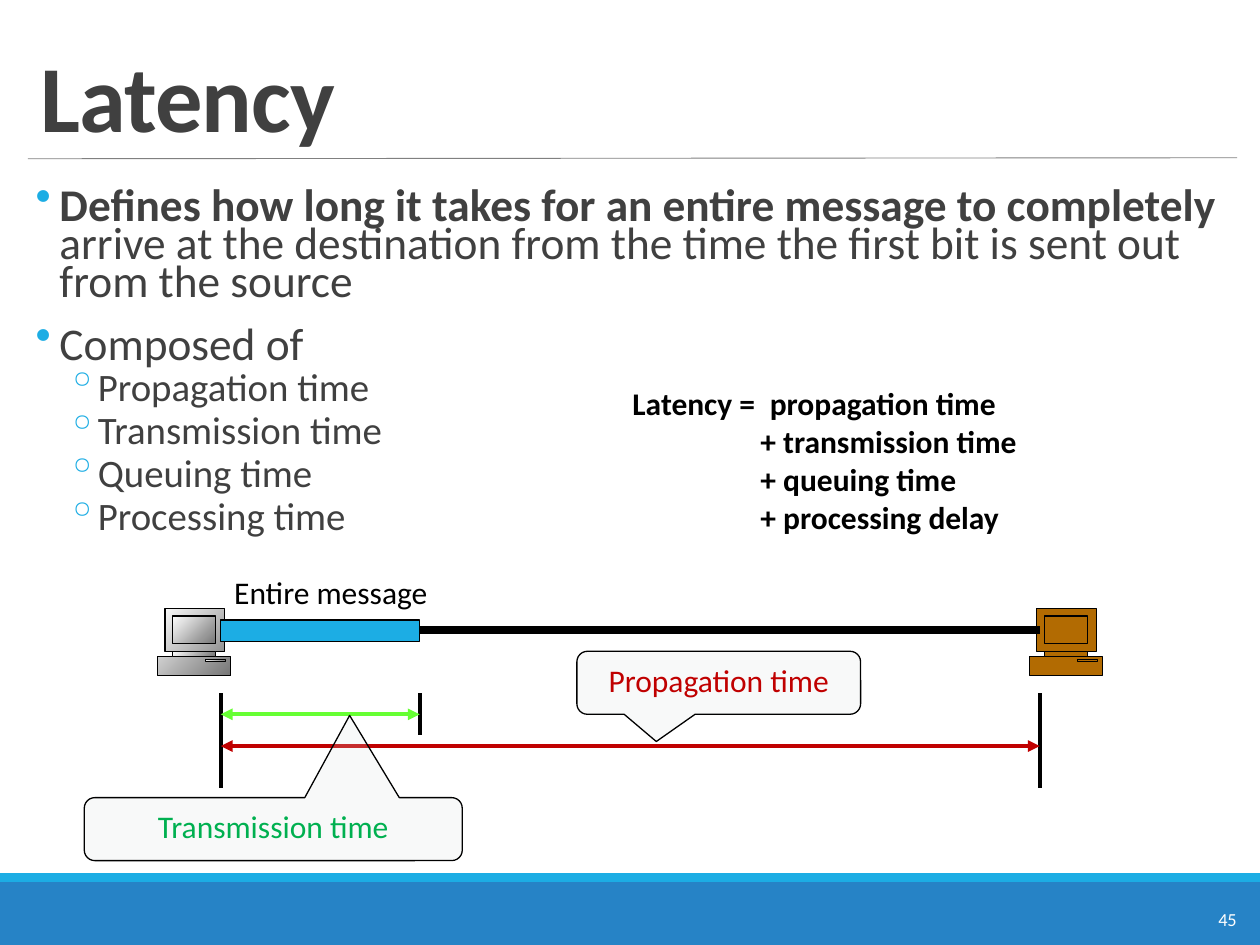
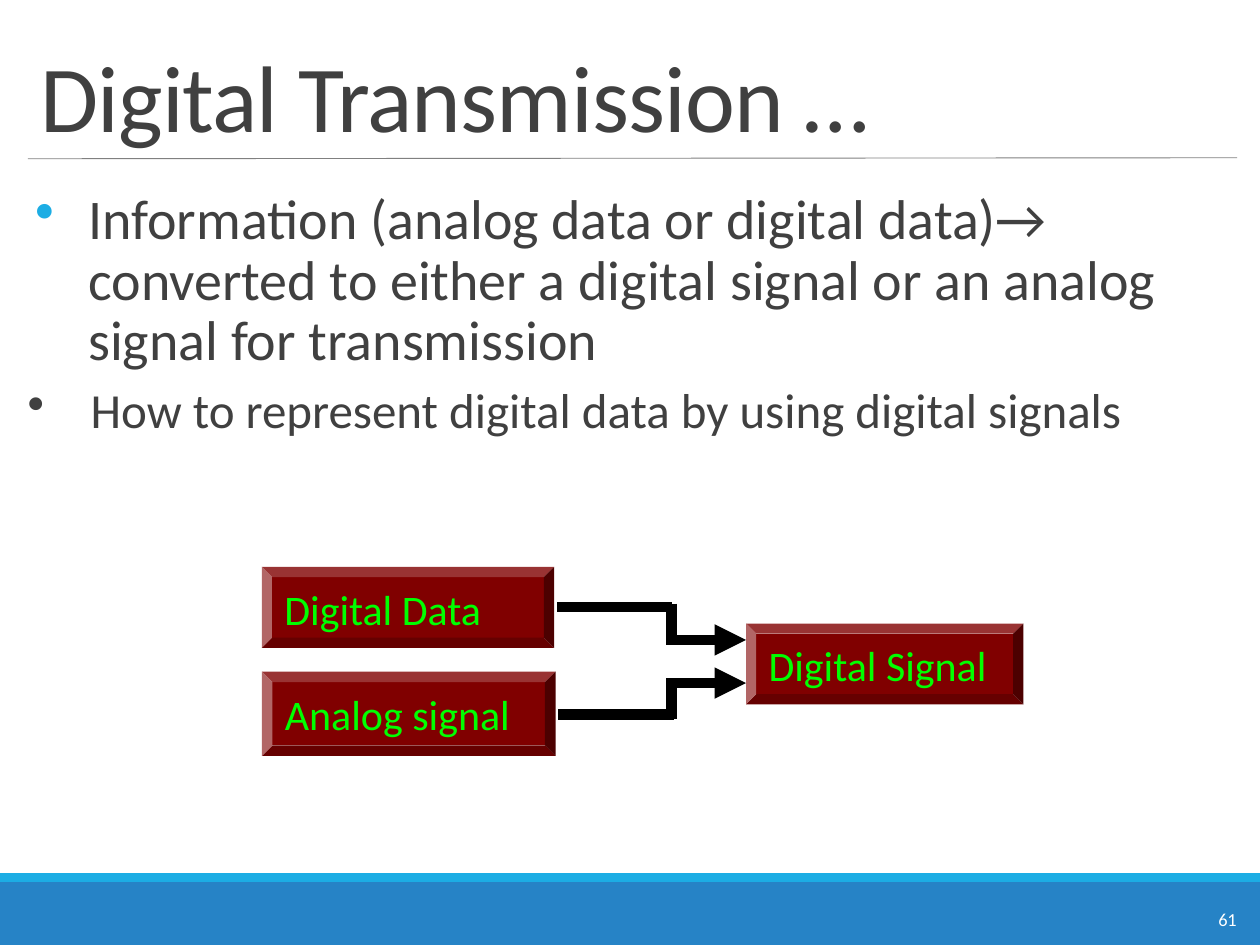
from lxml.etree import SubElement
from pptx import Presentation
from pptx.dml.color import RGBColor
from pptx.enum.shapes import MSO_CONNECTOR, MSO_SHAPE
from pptx.enum.text import MSO_ANCHOR, MSO_AUTO_SIZE, PP_ALIGN
from pptx.oxml.ns import qn
from pptx.util import Cm, Pt

FONT = "Calibri"
WHITE = RGBColor(0xFF, 0xFF, 0xFF)
BLACK = RGBColor(0x00, 0x00, 0x00)
TEXT_GRAY = RGBColor(0x40, 0x40, 0x40)
RULE_GRAY = RGBColor(0x80, 0x80, 0x80)
BAND_BLUE = RGBColor(0x26, 0x83, 0xC6)
ACCENT = RGBColor(0x1C, 0xAD, 0xE4)
STEEL = RGBColor(0x76, 0x76, 0x76)
BRONZE = RGBColor(0xB2, 0x6B, 0x02)
CALLOUT_GRAY = RGBColor(0xDF, 0xE3, 0xE5)
LIME = RGBColor(0x66, 0xFF, 0x33)
GREEN = RGBColor(0x00, 0xB0, 0x50)
RED = RGBColor(0xC0, 0x00, 0x00)
MAROON = RGBColor(0x80, 0x00, 0x00)
NEON = RGBColor(0x00, 0xFF, 0x00)

TOP_BULLET = dict(size=25.9, spacing=0.7, before=12, after=2, bullet="•", margin=0.64, hang=0.48)
SUB_BULLET = dict(size=22.2, spacing=0.7, before=2, after=4, bullet="◦", margin=1.3, hang=0.51)
LATENCY_POINTS = [
    ("arrive at the destination from the time the first bit is sent out from the source",
     dict(TOP_BULLET, lead="Defines how long it takes for an entire message to completely ")),
    ("Composed of", TOP_BULLET),
    ("Propagation time", SUB_BULLET),
    ("Transmission time", SUB_BULLET),
    ("Queuing time", SUB_BULLET),
    ("Processing time", SUB_BULLET),
]
EQUATION = [
    ("Latency =\tpropagation time", dict(margin=2.77, hang=2.77)),
    ("+ transmission time", dict(margin=2.58)),
    ("+ queuing time", dict(margin=2.58)),
    ("+ processing delay", dict(margin=2.58)),
]
DIGITAL_POINTS = [
    ("Information (analog data or digital data)→ converted to either a digital signal "
     "or an analog signal for transmission",
     dict(size=32, spacing=0.9, before=12, after=2, bullet="•", margin=1.22, hang=1.07)),
    ("How to represent digital data by using digital signals",
     dict(size=28, spacing=0.9, before=5.6, after=2, bullet="•", bullet_color=TEXT_GRAY,
          margin=1.27, hang=1.27)),
]

SENDER_X, MESSAGE_END_X, RECEIVER_X = 4.45, 8.46, 20.96
TRANSMISSION_Y, PROPAGATION_Y = 14.4, 15.04
COMPUTER_TOP = 12.27
COMPUTER_OUTLINE = [
    (1.17, 0.97), (1.17, 0.86), (1.35, 0.86), (1.35, 0), (0.15, 0), (0.15, 0.86),
    (0.3, 0.86), (0.3, 0.97), (0, 0.97), (0, 1.35), (1.47, 1.35), (1.47, 0.97),
]
COMPUTER_PARTS = [(0.3, 0.86, 0.87, 0.11), (0.3, 0.15, 0.87, 0.56), (0.97, 1.02, 0.4, 0.05)]
TIME_MARKS = [(MESSAGE_END_X, 14.81), (RECEIVER_X, 15.88), (SENDER_X, 15.88)]
TIME_SPANS = [(MESSAGE_END_X, TRANSMISSION_Y, LIME), (RECEIVER_X, PROPAGATION_Y, RED)]
CALLOUTS = [
    ("Transmission time", (1.7, 16.08, 7.62, 1.27), (0.202, -1.805, 0.167), GREEN),
    ("Propagation time", (11.63, 13.13, 5.72, 1.27), (-0.22, 0.933, 0.167), RED),
]
SIGNAL_BLOCKS = [
    ("Digital Data", (5.28, 11.43, 5.89, 1.63), True),
    ("Digital Signal", (15.04, 12.57, 5.59, 1.63), False),
    ("Analog signal", (5.28, 13.54, 5.92, 1.7), True),
]
SIGNAL_ARROWS = [((13.54, y), (15.04, y)) for y in (12.9, 13.77)]
SIGNAL_LINES = [
    ((13.54, 13.67), (13.54, 14.5)), ((13.59, 14.4), (11.25, 14.4)),
    ((13.54, 12.17), (13.54, 13)), ((13.54, 12.24), (11.23, 12.24)),
]


def cm(values):
    return [Cm(value) for value in values]


def write(frame, text, *, size=18, color=BLACK, bold=False, lead="", align=PP_ALIGN.LEFT,
          spacing=None, before=0, after=0, margin=0, hang=0, bullet="", bullet_color=ACCENT,
          tracking=None):
    para = frame.add_paragraph() if frame.text else frame.paragraphs[0]
    para.alignment = align
    para.line_spacing = spacing
    para.space_before, para.space_after = Pt(before), Pt(after)
    properties = para._p.get_or_add_pPr()
    properties.set("marL", str(Cm(margin)))
    properties.set("indent", str(-Cm(hang)))
    if bullet:
        tint = SubElement(properties, qn("a:buClr"))
        SubElement(tint, qn("a:srgbClr"), val=str(bullet_color))
        SubElement(properties, qn("a:buChar"), char=bullet)
    for words, heavy in ((lead, True), (text, bold)):
        if words:
            span = para.add_run()
            span.text = words
            span.font.name, span.font.size, span.font.bold = FONT, Pt(size), heavy
            span.font.color.rgb = color
            if tracking is not None:
                span._r.get_or_add_rPr().set("spc", str(tracking))


def add_text(page, place, lines, *, wrap=True, side_inset=0.25, **style):
    frame = page.shapes.add_textbox(*cm(place)).text_frame
    frame.word_wrap = wrap
    frame.margin_left = frame.margin_right = Cm(side_inset)
    for text, extra in lines:
        write(frame, text, **{**style, **extra})


def paint(shape, fill, outline=None):
    shape.shadow.inherit = False
    if fill == STEEL:
        shape.fill.gradient()
        shape.fill.gradient_angle = 315
        for stop, color in zip(shape.fill.gradient_stops, (WHITE, STEEL)):
            stop.color.rgb = color
    else:
        shape.fill.solid()
        shape.fill.fore_color.rgb = fill
    if outline is None:
        shape.line.fill.background()
    else:
        shape.line.color.rgb = outline
        shape.line.width = Pt(0.75)


def add_block(page, kind, place, fill, outline=None):
    shape = page.shapes.add_shape(kind, *cm(place))
    paint(shape, fill, outline)
    shape.text_frame.vertical_anchor = MSO_ANCHOR.TOP
    return shape


def add_line(page, start, end, color, width, arrows=()):
    line = page.shapes.add_connector(MSO_CONNECTOR.STRAIGHT, *cm(start + end))
    line.line.color.rgb = color
    line.line.width = Pt(width)
    properties = line._element.spPr
    for arrow in arrows:
        SubElement(properties.find(qn("a:ln")), qn("a:" + arrow), type="triangle")
    SubElement(properties, qn("a:effectLst"))


def add_computer(page, left, fill):
    corners = [cm((left + x, COMPUTER_TOP + y)) for x, y in COMPUTER_OUTLINE]
    builder = page.shapes.build_freeform(*corners[0], scale=1.0)
    builder.add_line_segments(corners[1:], close=True)
    paint(builder.convert_to_shape(), fill, BLACK)
    for x, y, width, height in COMPUTER_PARTS:
        place = (left + x, COMPUTER_TOP + y, width, height)
        add_block(page, MSO_SHAPE.RECTANGLE, place, fill, BLACK)


def add_page(deck, title, number, bold=False):
    page = deck.slides.add_slide(deck.slide_layouts[5])
    add_block(page, MSO_SHAPE.RECTANGLE, (0, 17.78, 25.4, 1.27), BAND_BLUE)
    add_block(page, MSO_SHAPE.RECTANGLE, (0, 17.6, 25.4, 0.18), ACCENT)
    add_line(page, (0.56, 3.2), (24.94, 3.18), RULE_GRAY, 0.5)
    add_text(page, (24.31, 18.19, 0.94, 0.71), [(number, {})], wrap=False, size=10.5, color=WHITE)
    heading = page.shapes.title
    heading.left, heading.top, heading.width, heading.height = cm((0.56, 0.64, 24.38, 2.54))
    frame = heading.text_frame
    frame.auto_size = MSO_AUTO_SIZE.NONE
    frame.vertical_anchor = MSO_ANCHOR.BOTTOM
    write(frame, title, size=54, color=TEXT_GRAY, bold=bold, spacing=0.85, tracking=-50)
    return page


def build_latency(deck):
    page = add_page(deck, "Latency", "45", bold=True)
    add_text(page, (0.56, 3.73, 24.38, 7.7), LATENCY_POINTS, side_inset=0, color=TEXT_GRAY)
    add_computer(page, 3.18, STEEL)
    add_computer(page, 20.75, BRONZE)
    add_line(page, (SENDER_X, 12.7), (RECEIVER_X, 12.7), BLACK, 4.5)
    message = (SENDER_X, 12.5, MESSAGE_END_X - SENDER_X, 0.43)
    add_block(page, MSO_SHAPE.RECTANGLE, message, ACCENT, BLACK)
    for x, bottom in TIME_MARKS:
        add_line(page, (x, 13.97), (x, bottom), BLACK, 2.25)
    for end, y, color in TIME_SPANS:
        add_line(page, (SENDER_X, y), (end, y), color, 2.25, ("headEnd", "tailEnd"))
    add_text(page, (3.81, 11.43, 5.72, 1.02), [("Entire message", {})], align=PP_ALIGN.CENTER)
    for text, place, pointer, color in CALLOUTS:
        callout = add_block(page, MSO_SHAPE.ROUNDED_RECTANGULAR_CALLOUT, place, CALLOUT_GRAY, BLACK)
        for index, value in enumerate(pointer):
            callout.adjustments[index] = value
        tint = callout._element.spPr.find(qn("a:solidFill")).find(qn("a:srgbClr"))
        SubElement(tint, qn("a:alpha"), val="20000")
        write(callout.text_frame, text, color=color, align=PP_ALIGN.CENTER)
    add_text(page, (12.5, 7.62, 9.09, 3.33), EQUATION, bold=True)


def build_digital_transmission(deck):
    page = add_page(deck, "Digital Transmission …", "61")
    add_text(page, (0.56, 3.73, 24.38, 6.86), DIGITAL_POINTS, side_inset=0, color=TEXT_GRAY)
    for text, place, wrap in SIGNAL_BLOCKS:
        block = add_block(page, MSO_SHAPE.BEVEL, place, MAROON)
        block.text_frame.word_wrap = wrap
        write(block.text_frame, text, size=24, color=NEON)
    for start, end in SIGNAL_ARROWS:
        add_line(page, start, end, BLACK, 6, ("tailEnd",))
    for start, end in SIGNAL_LINES:
        add_line(page, start, end, BLACK, 6)


def main():
    deck = Presentation()
    deck.slide_width, deck.slide_height = Cm(25.4), Cm(19.05)
    build_latency(deck)
    build_digital_transmission(deck)
    deck.save("out.pptx")


if __name__ == "__main__":
    main()
